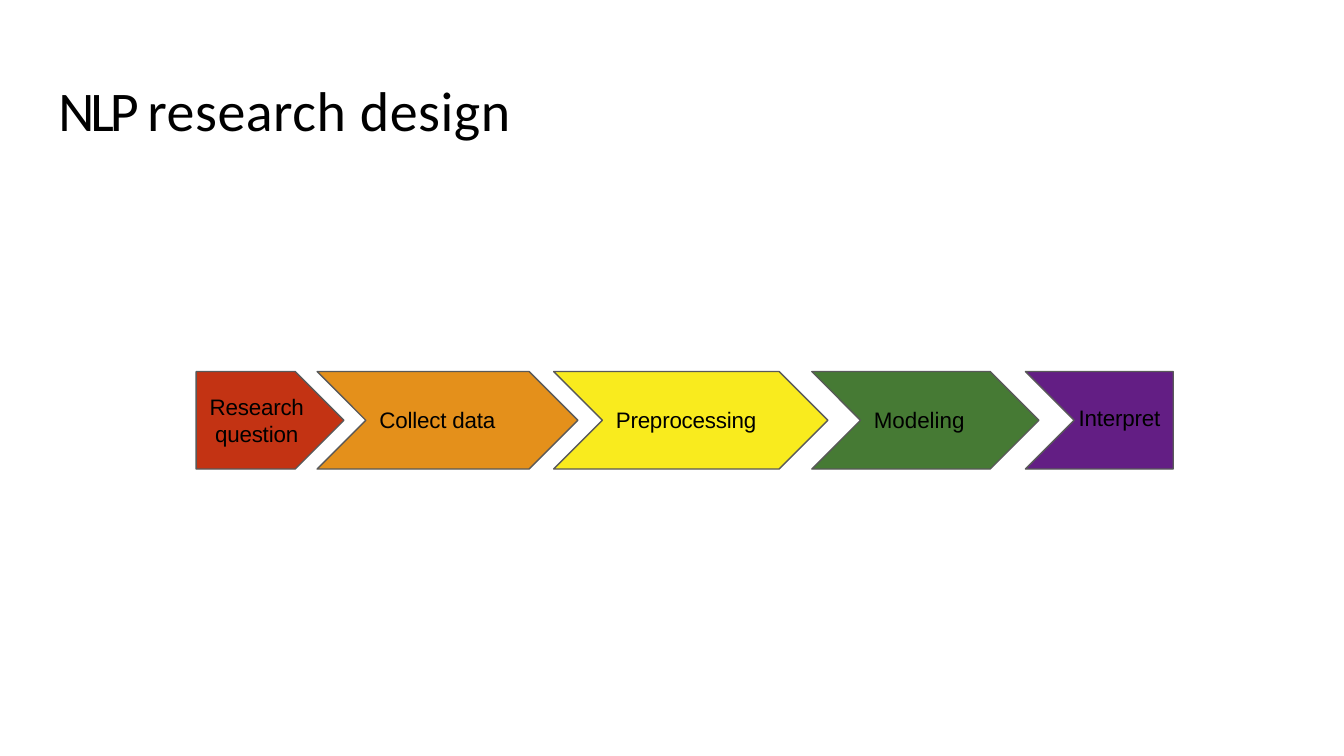
from dataclasses import dataclass

from pptx import Presentation
from pptx.dml.color import RGBColor
from pptx.enum.text import MSO_ANCHOR, MSO_AUTO_SIZE, PP_ALIGN
from pptx.slide import Slide
from pptx.text.text import TextFrame, _Paragraph
from pptx.util import Inches, Length, Pt


@dataclass(frozen=True)
class Theme:
    text: str = "000000"
    outline: str = "595959"
    research: str = "C33313"
    collect: str = "E4901B"
    preprocess: str = "F9EB1E"
    model: str = "467A34"
    interpret: str = "631E84"
    title_font: str = "Calibri"
    label_font: str = "Arial"
    title_size: float = 30
    label_size: float = 12
    label_leading: float = 14.3
    outline_width: float = 0.75


@dataclass(frozen=True)
class Box:
    column: float
    row: float
    columns: float
    rows: float


@dataclass(frozen=True)
class Step:
    label: str
    color: str
    column: float
    columns: float
    label_box: Box
    notched: bool = True
    pointed: bool = True
    spacing: float = -0.1


THEME = Theme()
SLIDE_WIDTH = Inches(10)
SLIDE_HEIGHT = Length(SLIDE_WIDTH * 9 // 16)
CELL = SLIDE_WIDTH / 100
BAND_TOP = 27.65
BAND_ROWS = 7.25
POINT_COLUMNS = BAND_ROWS / 2
TITLE_BOX = Box(4.35, 5.4, 38.8, 5.2)
STEPS = (
    Step("Research question", THEME.research, 14.6, 11, Box(15.4, 29.1, 7.4, 4.3), notched=False),
    Step("Collect data", THEME.collect, 23.6, 19.4, Box(28, 30.05, 9.1, 2.2)),
    Step("Preprocessing", THEME.preprocess, 41.2, 20.4, Box(45.6, 30.05, 10.9, 2.2)),
    Step("Modeling", THEME.model, 60.4, 16.9, Box(64.9, 30.05, 7, 2.2), spacing=0),
    Step("Interpret", THEME.interpret, 76.3, 11, Box(80.05, 29.85, 6.5, 2.2), pointed=False),
)


def cells(count: float) -> Length:
    return Length(round(count * CELL))


def prepare_frame(frame: TextFrame) -> None:
    frame.word_wrap = True
    frame.auto_size = MSO_AUTO_SIZE.NONE
    frame.vertical_anchor = MSO_ANCHOR.TOP
    frame.margin_left = frame.margin_right = frame.margin_bottom = 0
    frame.margin_top = Inches(0.02)


def add_run(paragraph: _Paragraph, text: str, font: str, size: float, spacing: float) -> None:
    run = paragraph.add_run()
    run.text = text
    run.font.name = font
    run.font.size = Pt(size)
    run.font.color.rgb = RGBColor.from_string(THEME.text)
    run.font._element.set("spc", str(round(spacing * 100)))


def add_title(slide: Slide) -> None:
    title = slide.shapes.title
    title.left, title.top = cells(TITLE_BOX.column), cells(TITLE_BOX.row)
    title.width, title.height = cells(TITLE_BOX.columns), cells(TITLE_BOX.rows)
    prepare_frame(title.text_frame)
    paragraph = title.text_frame.paragraphs[0]
    paragraph.alignment = PP_ALIGN.LEFT
    add_run(paragraph, "NLP ", THEME.title_font, THEME.title_size, -2.2)
    add_run(paragraph, "research design", THEME.title_font, THEME.title_size, 0.3)


def add_arrow(slide: Slide, step: Step) -> None:
    left, right = step.column, step.column + step.columns
    shoulder = right - POINT_COLUMNS if step.pointed else right
    middle, bottom = BAND_TOP + BAND_ROWS / 2, BAND_TOP + BAND_ROWS
    corners = [(shoulder, BAND_TOP)]
    if step.pointed:
        corners.append((right, middle))
    corners += [(shoulder, bottom), (left, bottom)]
    if step.notched:
        corners.append((left + POINT_COLUMNS, middle))
    builder = slide.shapes.build_freeform(cells(left), cells(BAND_TOP))
    builder.add_line_segments([(cells(column), cells(row)) for column, row in corners])
    shape = builder.convert_to_shape()
    shape.shadow.inherit = False
    shape.fill.solid()
    shape.fill.fore_color.rgb = RGBColor.from_string(step.color)
    shape.line.color.rgb = RGBColor.from_string(THEME.outline)
    shape.line.width = Pt(THEME.outline_width)


def add_label(slide: Slide, step: Step) -> None:
    box = step.label_box
    shape = slide.shapes.add_textbox(
        cells(box.column), cells(box.row), cells(box.columns), cells(box.rows)
    )
    prepare_frame(shape.text_frame)
    paragraph = shape.text_frame.paragraphs[0]
    paragraph.alignment = PP_ALIGN.CENTER
    paragraph.line_spacing = Pt(THEME.label_leading)
    add_run(paragraph, step.label, THEME.label_font, THEME.label_size, step.spacing)


def main() -> None:
    presentation = Presentation()
    presentation.slide_width = SLIDE_WIDTH
    presentation.slide_height = SLIDE_HEIGHT
    slide = presentation.slides.add_slide(presentation.slide_layouts.get_by_name("Title Only"))
    add_title(slide)
    for step in STEPS:
        add_arrow(slide, step)
        add_label(slide, step)
    presentation.save("out.pptx")


if __name__ == "__main__":
    main()
